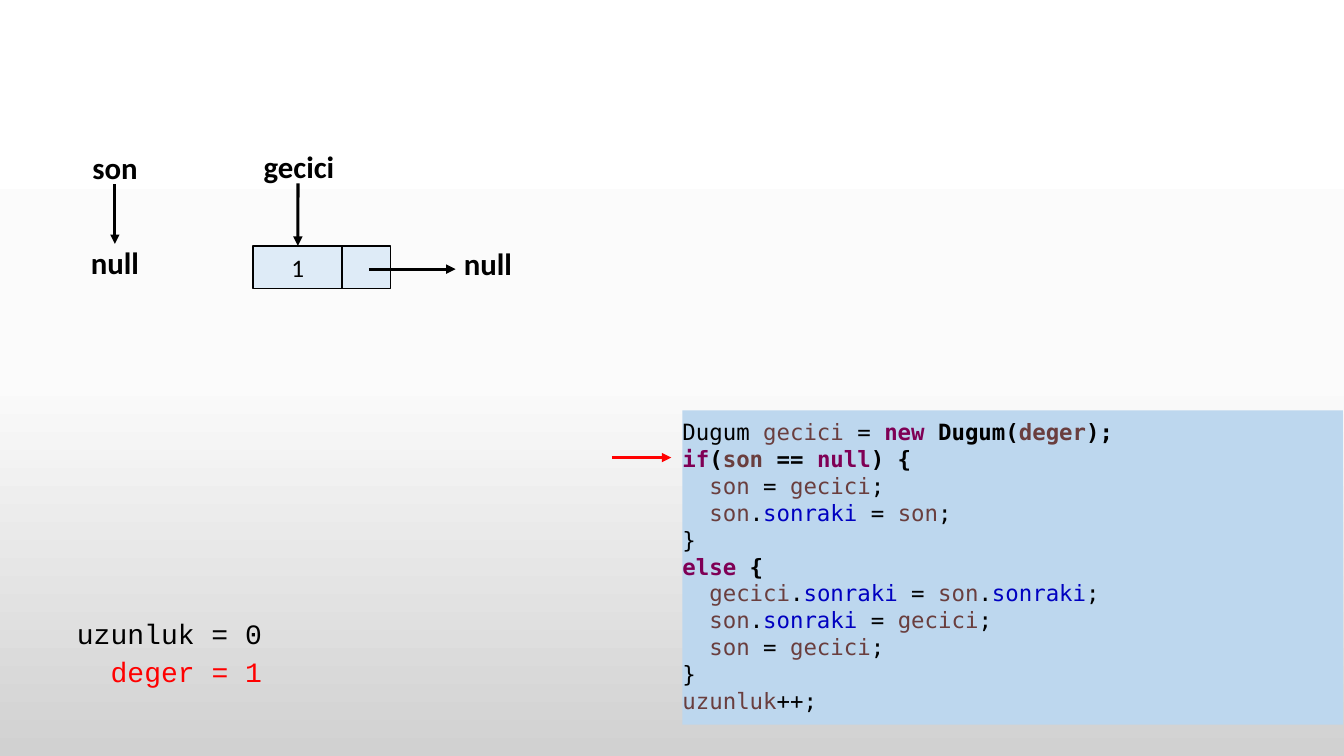
import copy
import itertools

import pptx
import pptx.dml.color
import pptx.enum.dml
import pptx.enum.shapes
import pptx.enum.text
import pptx.oxml
import pptx.oxml.ns
import pptx.util

BLACK, RED = "000000", "FF0000"
NODE_BLUE, CODE_BLUE = "DEEBF7", "BDD7EE"
KEYWORD, VARIABLE, FIELD = "7F0055", "6A3E3E", "0000C0"
LEFT = pptx.enum.text.PP_ALIGN.LEFT
CENTER = pptx.enum.text.PP_ALIGN.CENTER
RIGHT = pptx.enum.text.PP_ALIGN.RIGHT
hex_color = pptx.dml.color.RGBColor.from_string

deck = pptx.Presentation()
deck.slide_width = pptx.util.Inches(13.33)
deck.slide_height = pptx.util.Inches(7.5)
slide = deck.slides.add_slide(deck.slide_layouts[6])

# Positions count the columns and rows of a 100 by 100 grid.
column = deck.slide_width / 100
row = deck.slide_height / 100


def write(text, left, top, width, height, size=22, font="Calibri", color=BLACK,
          bold=False, align=CENTER, fill=None, border=None, word_colors=None):
    """Add a text box, or a rectangle if fill is given.

    With word_colors, each word gets its own colour and a keyword makes the
    rest of its line bold.
    """
    place = [int(v) for v in (left * column, top * row, width * column, height * row)]
    if fill:
        box = slide.shapes.add_shape(pptx.enum.shapes.MSO_SHAPE.RECTANGLE, *place)
        box.shadow.inherit = False
        box.fill.solid()
        box.fill.fore_color.rgb = hex_color(fill)
        if border:
            box.line.color.rgb = hex_color(border)
            box.line.width = pptx.util.Pt(1)
        else:
            box.line.fill.background()
    else:
        box = slide.shapes.add_textbox(*place)
    frame = box.text_frame
    frame.word_wrap = bool(fill)
    if border:
        frame.vertical_anchor = pptx.enum.text.MSO_ANCHOR.MIDDLE
    if word_colors:
        frame.margin_left = frame.margin_right = 0
        frame.margin_top = frame.margin_bottom = pptx.util.Inches(0.08)
        frame.vertical_anchor = pptx.enum.text.MSO_ANCHOR.TOP
    for number, line in enumerate(text.split("\n")):
        paragraph = frame.paragraphs[0] if number == 0 else frame.add_paragraph()
        paragraph.alignment = align
        words = [line]
        if word_colors:
            words = ["".join(group) for _, group in itertools.groupby(line, str.isalpha)]
        line_bold = bold
        for word in filter(None, words):
            word_color = (word_colors or {}).get(word, color)
            line_bold = line_bold or word_color == KEYWORD
            run = paragraph.add_run()
            run.text = word
            run.font.name = font
            run.font.size = pptx.util.Pt(size)
            run.font.bold = line_bold
            run.font.color.rgb = hex_color(word_color)
    return box


def arrow(x1, y1, x2, y2, color=BLACK):
    line = slide.shapes.add_connector(
        pptx.enum.shapes.MSO_CONNECTOR.STRAIGHT,
        int(x1 * column), int(y1 * row), int(x2 * column), int(y2 * row))
    line.line.color.rgb = hex_color(color)
    line.line.width = pptx.util.Pt(2.25)
    namespace = pptx.oxml.ns.nsdecls("a")
    line.line._get_or_add_ln().append(
        pptx.oxml.parse_xml(f'<a:tailEnd {namespace} type="triangle"/>'))
    line._element.spPr.append(pptx.oxml.parse_xml(f"<a:effectLst {namespace}/>"))
    return line


# Background
background = slide.background.fill
background.gradient()
background.gradient_angle = 270
first_stop = slide.element.xpath(".//p:bg//a:gs")[0]
first_stop.addnext(copy.deepcopy(first_stop))
for stop, (position, shade) in zip(
        background.gradient_stops, [(0, "FFFFFF"), (0.5, "FBFBFB"), (1, "D1D1D1")]):
    stop.position = position
    stop.color.rgb = hex_color(shade)

# Empty list: son points to null
write("son", 6.08, 19.07, 4.95, 6.27, bold=True)
arrow(8.55, 24.4, 8.55, 32.27)
write("null", 6, 31.6, 5.1, 6.27, bold=True)

# Counters
write("uzunluk = 0", 4.88, 80.93, 15.37, 5.87, size=20, font="Courier New", align=RIGHT)
write("deger = 1", 7.35, 85.87, 12.9, 5.87, size=20, font="Courier New",
      color=RED, align=RIGHT)

# New node and its link
node_value = write("1", 18.83, 32.53, 6.67, 5.6, size=18, fill=NODE_BLUE, border=BLACK)
write("", 25.45, 32.53, 3.6, 5.6, fill=NODE_BLUE, border=BLACK)
arrow(27.45, 35.6, 33.9, 35.6)
write("null", 33.75, 31.73, 5.1, 6.27, bold=True)
gecici_label = write("gecici", 18.83, 18.93, 6.83, 6.27, bold=True)
gecici_arrow = arrow(22.17, 24.27, 22.17, 32.53)
gecici_arrow.end_connect(node_value, 0)
slide.shapes.add_group_shape([gecici_label, gecici_arrow])

# Code, with the current line marked
arrow(45.53, 60.53, 49.95, 60.53, color=RED)
code = """Dugum gecici = new Dugum(deger);
if(son == null) {
  son = gecici;
  son.sonraki = son;
}
else {
  gecici.sonraki = son.sonraki;
  son.sonraki = gecici;
  son = gecici;
}
uzunluk++;"""
word_colors = {"sonraki": FIELD}
word_colors.update(dict.fromkeys(["new", "if", "null", "else"], KEYWORD))
word_colors.update(dict.fromkeys(["gecici", "deger", "son", "uzunluk"], VARIABLE))
write(code, 50.78, 54.27, 49.13, 41.6, size=16, font="DejaVu Sans Mono",
      align=LEFT, fill=CODE_BLUE, word_colors=word_colors)

deck.save("out.pptx")
